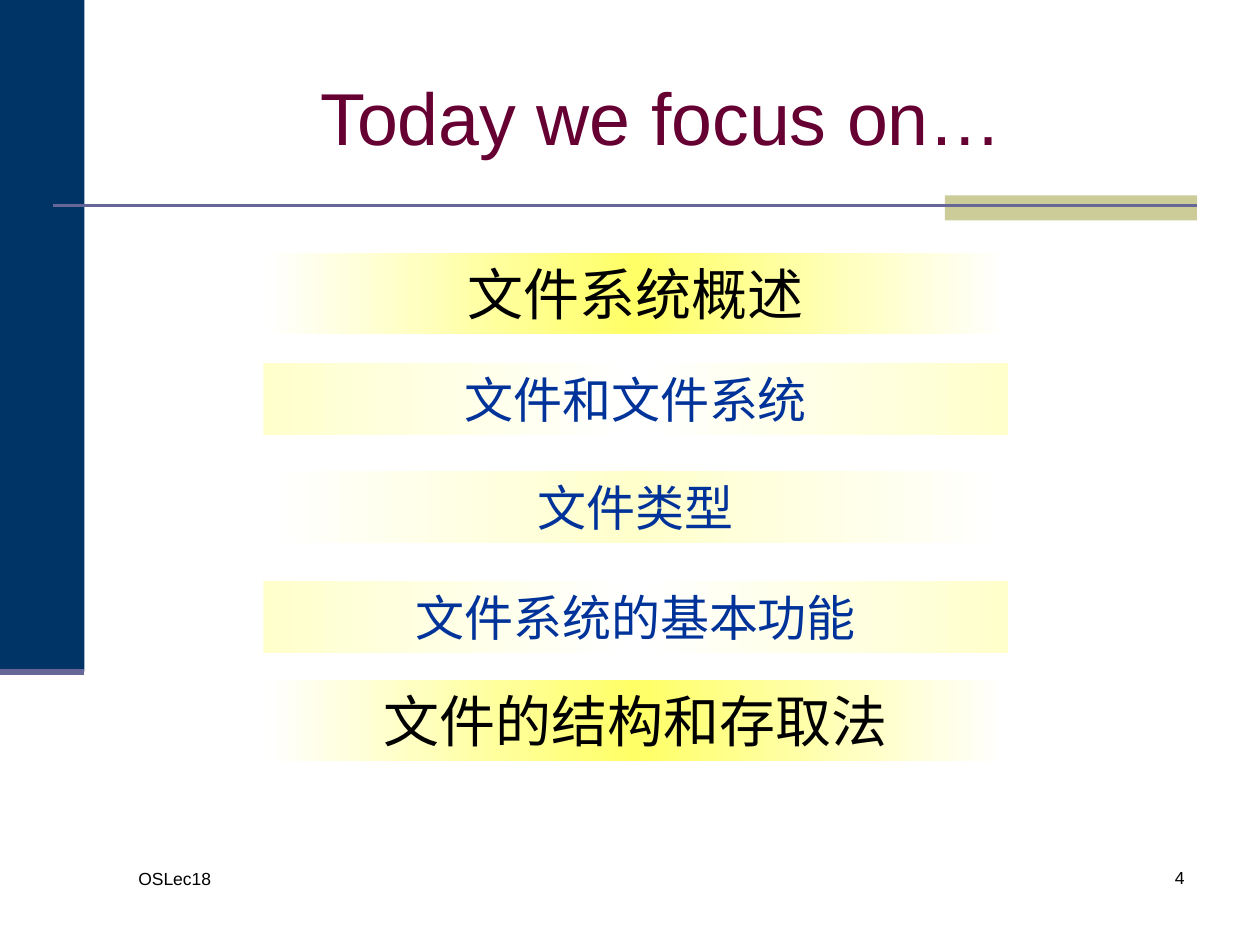
"""Build the lecture agenda slide with its gradient topic bands."""
from copy import deepcopy

from pptx import Presentation
from pptx.dml.color import RGBColor
from pptx.enum import shapes, text
from pptx.oxml import ns, xmlchemy
from pptx.util import Inches, Pt

NAVY, KHAKI, SLATE = "003366", "CCCC99", "666699"
BLACK, BLUE, MAROON = "000000", "003399", "660033"
WHITE, CREAM, YELLOW = "FFFFFF", "FFFFCC", "FFFF66"
LEFT, CENTER, RIGHT = text.PP_ALIGN.LEFT, text.PP_ALIGN.CENTER, text.PP_ALIGN.RIGHT


def rgb(value):
    return RGBColor.from_string(value)


class AgendaSlide:
    font = "Arial"

    def __init__(self, deck):
        self.slide = deck.slides.add_slide(deck.slide_layouts[5])

    def set_words(self, frame, words, size, color, align, anchor=text.MSO_ANCHOR.TOP):
        frame.text = words
        frame.word_wrap = True
        frame.vertical_anchor = anchor
        paragraph = frame.paragraphs[0]
        paragraph.alignment = align
        font = paragraph.runs[0].font
        font.name, font.size, font.color.rgb = self.font, Pt(size), rgb(color)

    def title(self, words, *box):
        heading = self.slide.shapes.title
        heading.left, heading.top, heading.width, heading.height = map(Inches, box)
        self.set_words(heading.text_frame, words, 42, MAROON, CENTER, text.MSO_ANCHOR.MIDDLE)

    def block(self, *box):
        block = self.slide.shapes.add_shape(shapes.MSO_SHAPE.RECTANGLE, *map(Inches, box))
        block.shadow.inherit = False
        block.line.fill.background()
        return block

    def panel(self, color, *box):
        fill = self.block(*box).fill
        fill.solid()
        fill.fore_color.rgb = rgb(color)

    def rule(self, width, *ends):
        rule = self.slide.shapes.add_connector(shapes.MSO_CONNECTOR.STRAIGHT, *map(Inches, ends))
        rule.line.color.rgb = rgb(SLATE)
        rule.line.width = Pt(width)
        rule._element.spPr.append(xmlchemy.OxmlElement("a:effectLst"))

    def band(self, words, top, height, size, color, edge, middle):
        band = self.block(2.09, top, 5.91, height)
        band.fill.gradient()
        band.fill.gradient_angle = 0
        stop_list = band._element.spPr.find(".//" + ns.qn("a:gsLst"))
        stop_list.insert(1, deepcopy(stop_list[0]))
        stops = band.fill.gradient_stops
        for stop, position, shade in zip(stops, (0, 0.5, 1), (edge, middle, edge)):
            stop.position, stop.color.rgb = position, rgb(shade)
        self.set_words(band.text_frame, words, size, color, CENTER)

    def label(self, words, align, *box):
        label = self.slide.shapes.add_textbox(*map(Inches, box))
        self.set_words(label.text_frame, words, 10, BLACK, align)


def main():
    deck = Presentation()
    deck.slide_width, deck.slide_height = Inches(10), Inches(7.5)
    agenda = AgendaSlide(deck)
    agenda.panel(NAVY, 0, 0, 0.67, 5.33)
    agenda.panel(KHAKI, 7.5, 1.55, 2, 0.2)
    agenda.rule(1.5, 0.42, 1.63, 9.5, 1.63)
    agenda.rule(3.5, 0, 5.33, 0.67, 5.33)
    agenda.title("Today we focus on…", 1, 0.3, 8.5, 1.25)

    for topic, top in (("文件系统概述", 2.01), ("文件的结构和存取法", 5.4)):
        agenda.band(topic, top, 0.64, 32, BLACK, WHITE, YELLOW)
    subtopics = (
        ("文件和文件系统", 2.88, CREAM, WHITE),
        ("文件类型", 3.74, WHITE, CREAM),
        ("文件系统的基本功能", 4.61, CREAM, WHITE),
    )
    for subtopic, top, edge, middle in subtopics:
        agenda.band(subtopic, top, 0.57, 28, BLUE, edge, middle)

    agenda.label("OSLec18", LEFT, 1, 6.84, 2.17, 0.5)
    agenda.label("4", RIGHT, 7.42, 6.83, 2.08, 0.5)
    deck.save("out.pptx")


if __name__ == "__main__":
    main()
